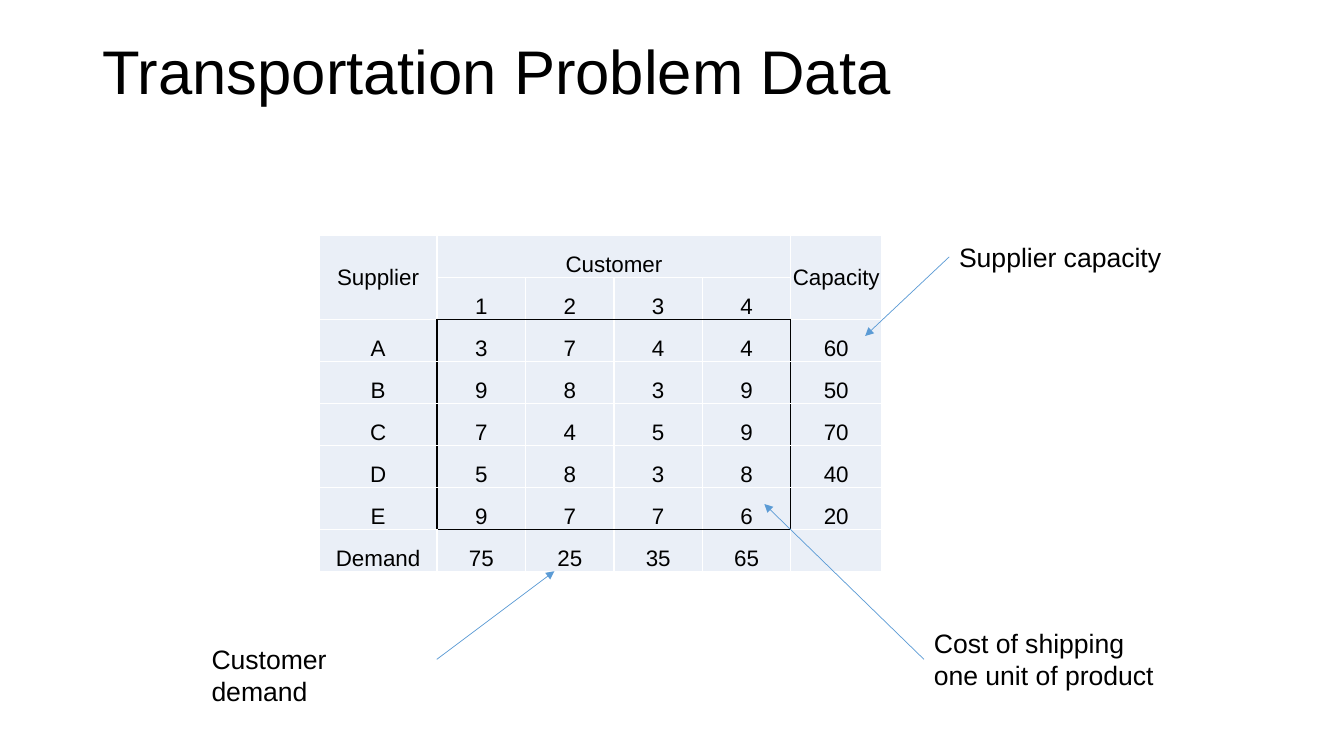
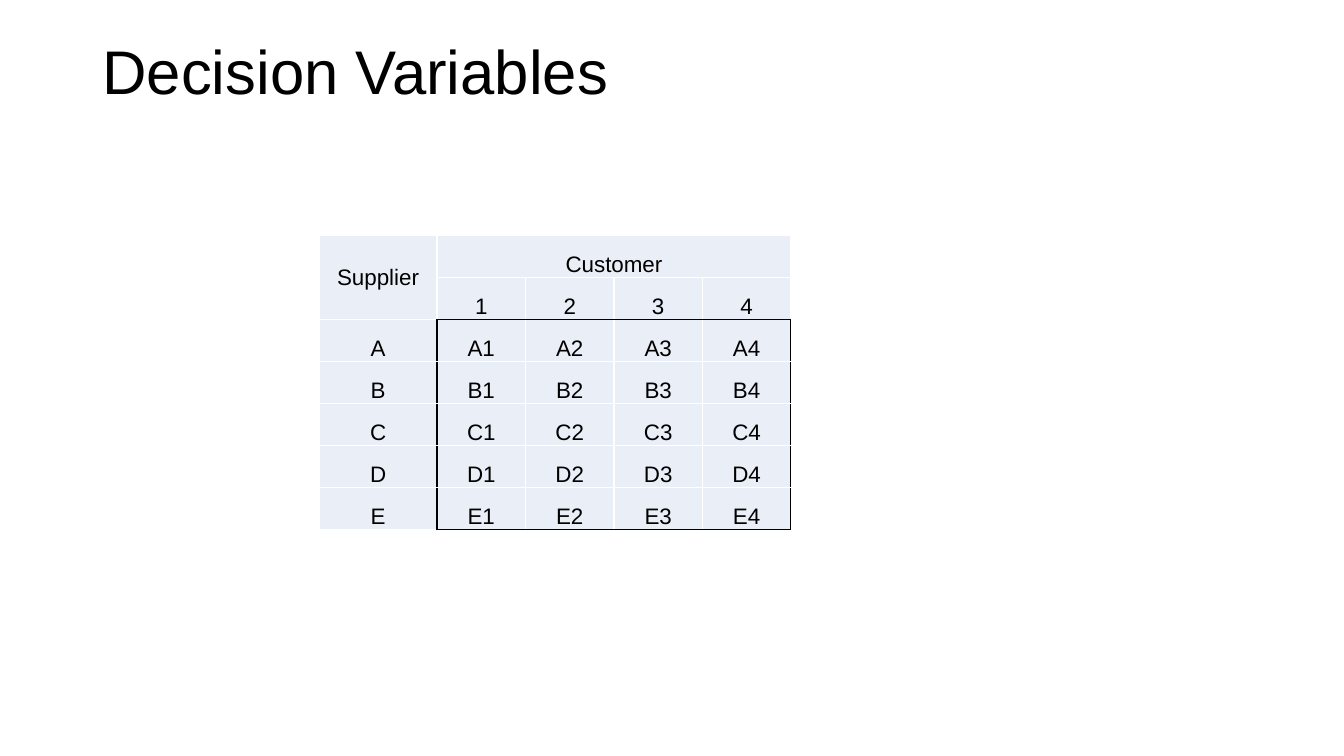
from lxml import etree
from pptx import Presentation
from pptx.dml.color import RGBColor
from pptx.enum.shapes import MSO_CONNECTOR
from pptx.enum.text import MSO_ANCHOR, MSO_AUTO_SIZE, PP_ALIGN
from pptx.oxml.ns import qn
from pptx.util import Pt

STRAIGHT = MSO_CONNECTOR.STRAIGHT
MIDDLE, BOTTOM = MSO_ANCHOR.MIDDLE, MSO_ANCHOR.BOTTOM
LEFT, CENTER = PP_ALIGN.LEFT, PP_ALIGN.CENTER
NO_FIT, GROW = MSO_AUTO_SIZE.NONE, MSO_AUTO_SIZE.SHAPE_TO_FIT_TEXT

COLORS = {"text": "000000", "cell": "EAEFF7", "grid": "FFFFFF",
          "frame": "000000", "arrow": "5B9BD5"}
FONT = "Arial"
TITLE_BOX = (66, 0.7, 828, 104.4)
TABLE_LEFT, TABLE_TOP, ROW_H = 228, 168, 30
SUPPLIER_W, CUSTOMER_W, CAPACITY_W = 84.2, 63.2, 64.8
CUSTOMERS = ["1", "2", "3", "4"]
SUPPLIERS = "ABCDE"
HEADER_ROWS = 2
EDGES = {"lnL": (0, -1), "lnR": (0, 1), "lnT": (-1, 0), "lnB": (1, 0)}
CELL_FORMAT = {"margin_left": Pt(0.75), "margin_right": Pt(0.75),
               "margin_top": Pt(0.75), "margin_bottom": 0}

COSTS = [[3, 7, 4, 4], [9, 8, 3, 9], [7, 4, 5, 9], [5, 8, 3, 8], [9, 7, 7, 6]]
CAPACITIES = [60, 50, 70, 40, 20]
DEMANDS = [75, 25, 35, 65]
CALLOUTS = [
    ("Cost of shipping one unit of product", (660, 444, 186, 53),
     (660, 471), (546, 360)),
    ("Supplier capacity", (678, 168.5, 186, 30), (678, 183.5), (618, 240)),
    ("Customer demand", (144, 456, 168, 30), (312, 471), (396, 408)),
]


def rgb(name):
    return RGBColor.from_string(COLORS[name])


def apply(obj, values):
    for name, value in values.items():
        setattr(obj, name, value)


def write(tf, text, size, **paragraph_format):
    p = tf.paragraphs[0]
    apply(p, paragraph_format)
    r = p.add_run()
    r.text = text
    apply(r.font, {"name": FONT, "size": Pt(size)})
    r.font.color.rgb = rgb("text")


def add_titled_slide(prs, title):
    s = prs.slides.add_slide(prs.slide_layouts[5])
    sp = s.shapes.title
    apply(sp, dict(zip(("left", "top", "width", "height"), map(Pt, TITLE_BOX))))
    apply(sp.text_frame, {"vertical_anchor": MIDDLE, "auto_size": NO_FIT})
    write(sp.text_frame, title, 44, alignment=LEFT, line_spacing=0.9)
    return s


def in_frame(row, col):
    return (HEADER_ROWS <= row < HEADER_ROWS + len(SUPPLIERS)
            and 1 <= col <= len(CUSTOMERS))


def set_borders(cell, row, col):
    tc_pr = cell._tc.get_or_add_tcPr()
    for edge, (dr, dc) in EDGES.items():
        framed = in_frame(row, col) != in_frame(row + dr, col + dc)
        ln = etree.SubElement(tc_pr, qn(f"a:{edge}"), w=str(Pt(1)))
        fill = etree.SubElement(ln, qn("a:solidFill"))
        etree.SubElement(fill, qn("a:srgbClr"),
                         val=COLORS["frame" if framed else "grid"])


def add_supplier_table(s, rows, widths):
    shape = s.shapes.add_table(len(rows), len(widths), Pt(TABLE_LEFT), Pt(TABLE_TOP),
                               Pt(sum(widths)), Pt(ROW_H * len(rows)))
    table = shape.table
    apply(table, {"first_row": False, "horz_banding": False})
    for column, width in zip(table.columns, widths):
        column.width = Pt(width)
    tall = [col for col, text in enumerate(rows[0]) if text and not rows[1][col]]
    for col in tall:
        table.cell(0, col).merge(table.cell(1, col))
    table.cell(0, 1).merge(table.cell(0, len(CUSTOMERS)))
    for row, texts in enumerate(rows):
        for col, text in enumerate(texts):
            cell = table.cell(row, col)
            set_borders(cell, row, col)
            cell.fill.solid()
            cell.fill.fore_color.rgb = rgb("cell")
            apply(cell, CELL_FORMAT)
            cell.vertical_anchor = MIDDLE if row == 0 and col in tall else BOTTOM
            if text:
                write(cell.text_frame, text, 16, alignment=CENTER)


def add_label(s, text, box):
    tf = s.shapes.add_textbox(*map(Pt, box)).text_frame
    apply(tf, {"word_wrap": True, "auto_size": GROW})
    write(tf, text, 19)


def add_arrow(s, start, end):
    cx = s.shapes.add_connector(STRAIGHT, *map(Pt, start + end))
    cx.line.color.rgb = rgb("arrow")
    cx.line.width = Pt(0.5)
    sp_pr = cx._element.spPr
    etree.SubElement(sp_pr.find(qn("a:ln")), qn("a:tailEnd"), type="triangle")
    etree.SubElement(sp_pr, qn("a:effectLst"))


def header_rows():
    return [["Supplier", "Customer", "", "", ""], ["", *CUSTOMERS]]


def add_data_slide(prs):
    s = add_titled_slide(prs, "Transportation Problem Data")
    top, numbers = header_rows()
    rows = [top + ["Capacity"], numbers + [""]]
    for supplier, costs, capacity in zip(SUPPLIERS, COSTS, CAPACITIES):
        rows.append([supplier, *map(str, costs), str(capacity)])
    rows.append(["Demand", *map(str, DEMANDS), ""])
    add_supplier_table(s, rows, [SUPPLIER_W] + [CUSTOMER_W] * 4 + [CAPACITY_W])
    for text, box, start, end in CALLOUTS:
        add_label(s, text, box)
        add_arrow(s, start, end)


def add_variables_slide(prs):
    s = add_titled_slide(prs, "Decision Variables")
    rows = header_rows() + [[supplier] + [supplier + customer for customer in CUSTOMERS]
                            for supplier in SUPPLIERS]
    add_supplier_table(s, rows, [SUPPLIER_W] + [CUSTOMER_W] * 4)


def main():
    prs = Presentation()
    apply(prs, {"slide_width": Pt(960), "slide_height": Pt(540)})
    add_data_slide(prs)
    add_variables_slide(prs)
    prs.save("out.pptx")


main()
